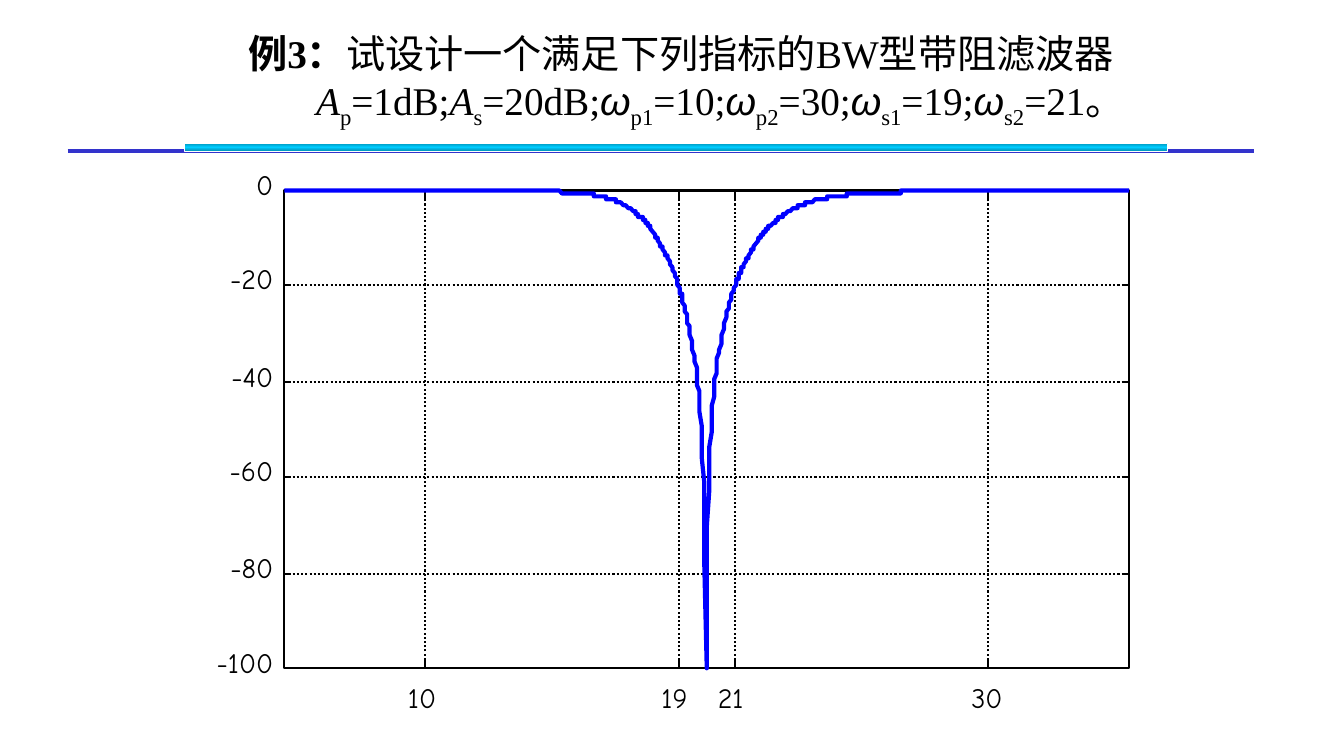
"""Builds a slide on a band-stop filter with its attenuation curve."""
from copy import deepcopy
from itertools import groupby
from math import log10

from pptx import Presentation
from pptx.dml.color import RGBColor
from pptx.enum.dml import MSO_LINE
from pptx.enum.shapes import MSO_CONNECTOR, MSO_SHAPE
from pptx.enum.text import MSO_ANCHOR, PP_ALIGN
from pptx.oxml.ns import qn
from pptx.util import Pt

PX = 9144
COLORS = {"ink": "000000", "rule": "3333CC", "curve": "0000FF", "white": "FFFFFF",
          "bar_edge": "0092B6", "bar_mid": "00CCFF"}
TITLE = [
    (0, [("例3：", "bold"), ("试设计一个满足下列指标的BW型带阻滤波器", "")]),
    (78, [("A", "italic"), ("p", "sub"), ("=1dB;", ""),
          ("A", "italic"), ("s", "sub"), ("=20dB;", ""),
          ("ω", "omega"), ("p1", "sub"), ("=10;", ""),
          ("ω", "omega"), ("p2", "sub"), ("=30;", ""),
          ("ω", "omega"), ("s1", "sub"), ("=19;", ""),
          ("ω", "omega"), ("s2", "sub"), ("=21。", "")]),
]
FREQUENCIES = [10, 19, 21, 30]
LEVELS = [0, -20, -40, -60, -80, -100]
W_MIN, W_MAX, FLOOR = 5, 35, -100
STOP_LOW, STOP_HIGH, STOP_DB, ORDER = 19, 21, 20, 2
LEFT, TOP, WIDTH, HEIGHT = 282, 189, 838, 474
RIGHT, BOTTOM = LEFT + WIDTH, TOP + HEIGHT
COLUMNS, ROWS, SAMPLES = 344, 162, 1000


def emu(px):
    return round(px * PX)


def rgb(name):
    return RGBColor.from_string(COLORS[name])


def x_at(w):
    return LEFT + WIDTH * (w - W_MIN) / (W_MAX - W_MIN)


def y_at(level):
    return TOP + HEIGHT * round(ROWS * level / FLOOR) / ROWS


def gain(w):
    center = STOP_LOW * STOP_HIGH
    ratio = (STOP_HIGH - STOP_LOW) * w / (w * w - center)
    loss = 10 * log10(1 + (10 ** (STOP_DB / 10) - 1) * ratio ** (2 * ORDER))
    return max(FLOOR, -loss)


def add_line(shapes, x1, y1, x2, y2, color="ink", width=1.5, dash=None):
    s = shapes.add_connector(MSO_CONNECTOR.STRAIGHT, emu(x1), emu(y1), emu(x2), emu(y2))
    s.line.color.rgb = rgb(color)
    s.line.width = Pt(width)
    if dash:
        s.line.dash_style = dash
    s._element.spPr.append(s._element.makeelement(qn("a:effectLst"), {}))


def add_label(shapes, x, y, w, text, align):
    tf = shapes.add_textbox(emu(x), emu(y), emu(w), emu(34)).text_frame
    tf.margin_left = tf.margin_right = tf.margin_top = tf.margin_bottom = 0
    tf.word_wrap = True
    p = tf.paragraphs[0]
    p.alignment = align
    r = p.add_run()
    r.text = text
    r.font.name, r.font.size = "Comic Neue", Pt(20)
    r.font.color.rgb = rgb("ink")


def add_axes(shapes):
    for w in FREQUENCIES:
        x = x_at(w)
        add_line(shapes, x, BOTTOM, x, TOP, dash=MSO_LINE.ROUND_DOT)
        add_line(shapes, x, BOTTOM, x, BOTTOM - 9)
        add_line(shapes, x, TOP, x, TOP + 9)
        add_label(shapes, x - 17, 675, 34, str(w), PP_ALIGN.LEFT)
    for level in LEVELS:
        y = y_at(level)
        add_line(shapes, LEFT, y, RIGHT, y, dash=MSO_LINE.ROUND_DOT)
        add_line(shapes, LEFT, y, LEFT + 7, y)
        add_line(shapes, RIGHT, y, RIGHT - 7, y)
        add_label(shapes, 200, y - 23, 71, str(level), PP_ALIGN.RIGHT)
    s = shapes.add_shape(MSO_SHAPE.RECTANGLE, emu(LEFT), emu(TOP), emu(WIDTH), emu(HEIGHT))
    s.shadow.inherit = False
    s.fill.background()
    s.line.color.rgb = rgb("ink")
    s.line.width = Pt(1.5)


def add_curve(shapes):
    points = []
    for i in range(SAMPLES + 1):
        w = W_MIN + (W_MAX - W_MIN) * i / SAMPLES
        column = round(COLUMNS * i / SAMPLES)
        points.append((emu(LEFT + WIDTH * column / COLUMNS), emu(y_at(gain(w)))))
    points = [point for point, _ in groupby(points)]
    builder = shapes.build_freeform(*points[0], scale=1.0)
    builder.add_line_segments(points[1:], close=False)
    s = builder.convert_to_shape()
    s.shadow.inherit = False
    s.fill.background()
    s.line.color.rgb = rgb("curve")
    s.line.width = Pt(3)


def add_title(shapes):
    tf = shapes.add_textbox(emu(217), emu(8), emu(917), emu(142)).text_frame
    tf.word_wrap = True
    tf.vertical_anchor = MSO_ANCHOR.MIDDLE
    for i, (indent, runs) in enumerate(TITLE):
        p = tf.add_paragraph() if i else tf.paragraphs[0]
        p.alignment = PP_ALIGN.CENTER
        p._p.get_or_add_pPr().set("marL", str(emu(indent)))
        for text, style in runs:
            r = p.add_run()
            r.text = text
            r.font.name = "Arial" if style == "omega" else "Times New Roman"
            r.font.size = Pt(28)
            r.font.bold = style == "bold"
            r.font.italic = style in ("italic", "omega")
            r.font.color.rgb = rgb("ink")
            if style == "sub":
                r._r.get_or_add_rPr().set("baseline", "-25000")


def add_bar(shapes):
    s = shapes.add_shape(MSO_SHAPE.RECTANGLE, emu(183), emu(142), emu(975), emu(8))
    s.shadow.inherit = False
    s.line.color.rgb = rgb("white")
    s.line.width = Pt(0.75)
    s.fill.gradient()
    s.fill.gradient_angle = 90
    stops = s._element.spPr.find(".//" + qn("a:gsLst"))
    stops.insert(1, deepcopy(stops[0]))
    for stop, position, color in zip(s.fill.gradient_stops, (0, 0.5, 1),
                                     ("bar_edge", "bar_mid", "bar_edge")):
        stop.position = position
        stop.color.rgb = rgb(color)


def main():
    prs = Presentation()
    prs.slide_width, prs.slide_height = emu(1333), emu(750)
    shapes = prs.slides.add_slide(prs.slide_layouts[6]).shapes
    add_line(shapes, 67, 150, 1244, 150, "rule", 3)
    add_axes(shapes)
    add_curve(shapes)
    add_title(shapes)
    add_bar(shapes)
    prs.save("out.pptx")


if __name__ == "__main__":
    main()
